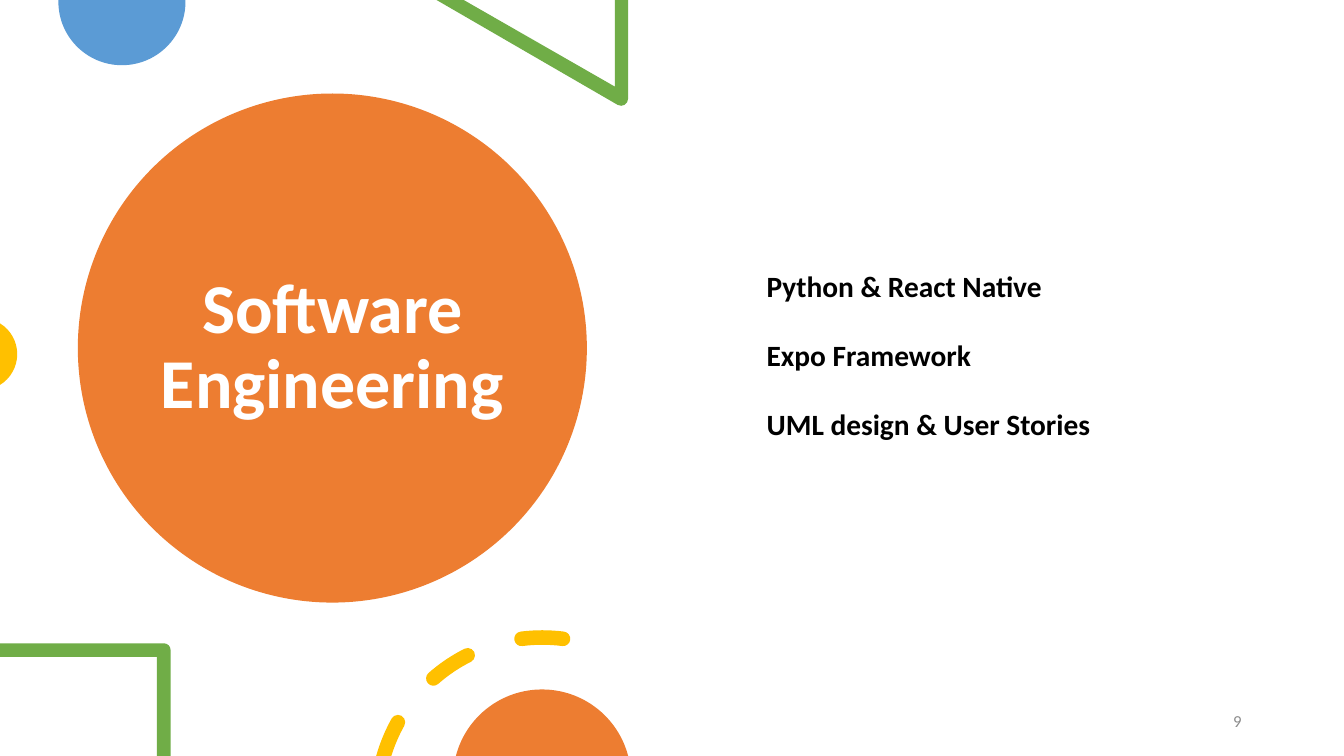
import math

import lxml.etree
import pptx
import pptx.dml.color
import pptx.enum.shapes
import pptx.enum.text
import pptx.oxml.ns
import pptx.util

Pt = pptx.util.Pt
RGBColor = pptx.dml.color.RGBColor
ALIGN = pptx.enum.text.PP_ALIGN
ANCHOR = pptx.enum.text.MSO_ANCHOR
qn = pptx.oxml.ns.qn

ORANGE = RGBColor(0xED, 0x7D, 0x31)
BLUE = RGBColor(0x5B, 0x9B, 0xD5)
GREEN = RGBColor(0x70, 0xAD, 0x47)
YELLOW = RGBColor(0xFF, 0xC0, 0x00)
WHITE = RGBColor(0xFF, 0xFF, 0xFF)
BLACK = RGBColor(0x00, 0x00, 0x00)
GRAY = RGBColor(0x8C, 0x8C, 0x8C)

FONT = "Calibri"
WIDTH, HEIGHT = 960, 540
TITLE = "Software Engineering"
TOPICS = [  # wording, box width
    ("Python & React Native", 213),
    ("Expo Framework", 162),
    ("UML design & User Stories", 248.5),
]
TOPIC_LEFT, TOPIC_TOP, TOPIC_STEP, TOPIC_HEIGHT = 540.5, 188, 49.4, 32.5
PAGE_NUMBER = "9"

RING_CENTER = (387.4, 573.5)
RING_RADIUS, RING_HALF_WIDTH = 118.1, 5.2
RING_OUTER, RING_INNER = RING_RADIUS + RING_HALF_WIDTH, RING_RADIUS - RING_HALF_WIDTH
DASH_SPAN, DASH_STEP, TOP_DASH_START = 14.4, 34, 262.8


def on_circle(center, radius, angle):
    turn = math.radians(angle)
    return center[0] + radius * math.cos(turn), center[1] + radius * math.sin(turn)


def arc(center, radius, start, end, pieces=None):
    """Start point, then Bezier triples; degrees run clockwise from the right."""
    pieces = pieces or math.ceil(abs(end - start) / 90)
    sweep = (end - start) / pieces
    reach = 4 / 3 * math.tan(math.radians(sweep / 4)) * radius
    steps = [on_circle(center, radius, start)]
    for piece in range(pieces):
        first = start + piece * sweep
        last = first + sweep
        here, there = on_circle(center, radius, first), on_circle(center, radius, last)
        steps.append((on_circle(here, reach, first + 90),
                      on_circle(there, -reach, last + 90), there))
    return steps


def cap(angle, turn):
    """Half circle that rounds off a dash at the given angle of the ring."""
    center = on_circle(RING_CENTER, RING_RADIUS, angle)
    return arc(center, RING_HALF_WIDTH, turn, turn + 180)[1:]


def round_dash(start):
    end = start + DASH_SPAN
    return (arc(RING_CENTER, RING_OUTER, start, end, pieces=2)
            + cap(end, end)
            + arc(RING_CENTER, RING_INNER, end, start)[1:]
            + cap(start, start + 180))


def cut_dash(end):
    """A dash that runs off the bottom edge of the slide."""
    def edge_angle(radius):
        return 180 + math.degrees(math.asin((RING_CENTER[1] - HEIGHT) / radius))

    return (arc(RING_CENTER, RING_OUTER, edge_angle(RING_OUTER), end)
            + cap(end, end)
            + arc(RING_CENTER, RING_INNER, end, edge_angle(RING_INNER))[1:])


DASHES = [
    cut_dash(TOP_DASH_START - 2 * DASH_STEP + DASH_SPAN),
    round_dash(TOP_DASH_START - DASH_STEP),
    round_dash(TOP_DASH_START),
]
DECORATIONS = [  # fill, closed contours
    (BLUE, [[(132.5, 0), (41.8, 0)] + arc((87.1, 1.2), 45.4, 180, 0)]),
    (GREEN, [[(448.6, 0), (439.2, 0), (439.2, 61.9), (331.2, 0), (311.8, 0)]
             + arc((443.7, 70.7), 4.9, 120, 0)]),
    (YELLOW, [arc((-13.5, 253), 25.8, -58.5, 58.5)]),
    (GREEN, [[(0, 459.5), (0, 469.2), (112.2, 469.2), (112.2, HEIGHT), (121.9, HEIGHT)]
             + arc((117, 464.4), 4.9, 0, -90)]),
    (YELLOW, DASHES),
    (ORANGE, [arc((387.2, 556.1), 63.6, 194.7, 345.3)]),
]


def paint(shape, color):
    shape.fill.solid()
    shape.fill.fore_color.rgb = color
    shape.line.fill.background()
    shape.shadow.inherit = False


def is_curve(step):
    return len(step) == 3


def end_point(step):
    x, y = step[-1] if is_curve(step) else step
    return Pt(x), Pt(y)


def add_outline(page, color, contours):
    builder = page.shapes.build_freeform(*end_point(contours[0][0]), scale=1.0)
    for index, contour in enumerate(contours):
        if index:
            builder.move_to(*end_point(contour[0]))
        builder.add_line_segments([end_point(step) for step in contour[1:]], close=True)
    shape = builder.convert_to_shape()
    paint(shape, color)

    steps = [step for contour in contours for step in contour[1:]]
    for line, step in zip(list(shape.element.iter(qn("a:lnTo"))), steps):
        if is_curve(step):
            curve = lxml.etree.Element(qn("a:cubicBezTo"))
            for x, y in step:
                lxml.etree.SubElement(curve, qn("a:pt"), x=str(Pt(x) - shape.left),
                                      y=str(Pt(y) - shape.top))
            line.getparent().replace(line, curve)


def write(box, words, size, color, bold, align, anchor, wrap=True):
    frame = box.text_frame
    frame.word_wrap = wrap
    frame.vertical_anchor = anchor
    para = frame.paragraphs[0]
    para.alignment = align
    span = para.add_run()
    span.text = words
    span.font.name = FONT
    span.font.size = Pt(size)
    span.font.bold = bold
    span.font.color.rgb = color
    return para


def main():
    deck = pptx.Presentation()
    deck.slide_width, deck.slide_height = Pt(WIDTH), Pt(HEIGHT)
    page = deck.slides.add_slide(deck.slide_layouts[5])

    title = page.shapes.title
    title.left, title.top, title.width, title.height = Pt(105.8), Pt(88.6), Pt(263.5), Pt(320.4)
    para = write(title, TITLE, 50, WHITE, True, ALIGN.CENTER, ANCHOR.MIDDLE)
    para.line_spacing = 0.9
    title.text_frame.auto_size = pptx.enum.text.MSO_AUTO_SIZE.NONE

    circle = page.shapes.add_shape(pptx.enum.shapes.MSO_SHAPE.OVAL,
                                   Pt(55.6), Pt(66.8), Pt(363.6), Pt(363.6))
    paint(circle, ORANGE)
    title.element.addprevious(circle.element)

    for color, contours in DECORATIONS:
        add_outline(page, color, contours)

    number = page.shapes.add_textbox(Pt(678), Pt(500.5), Pt(216), Pt(28.8))
    write(number, PAGE_NUMBER, 12, GRAY, False, ALIGN.RIGHT, ANCHOR.MIDDLE)

    for row, (words, width) in enumerate(TOPICS):
        box = page.shapes.add_textbox(Pt(TOPIC_LEFT), Pt(TOPIC_TOP + row * TOPIC_STEP),
                                      Pt(width), Pt(TOPIC_HEIGHT))
        write(box, words, 21, BLACK, True, ALIGN.LEFT, ANCHOR.TOP, wrap=False)
        box.text_frame.auto_size = pptx.enum.text.MSO_AUTO_SIZE.SHAPE_TO_FIT_TEXT

    deck.save("out.pptx")


if __name__ == "__main__":
    main()
